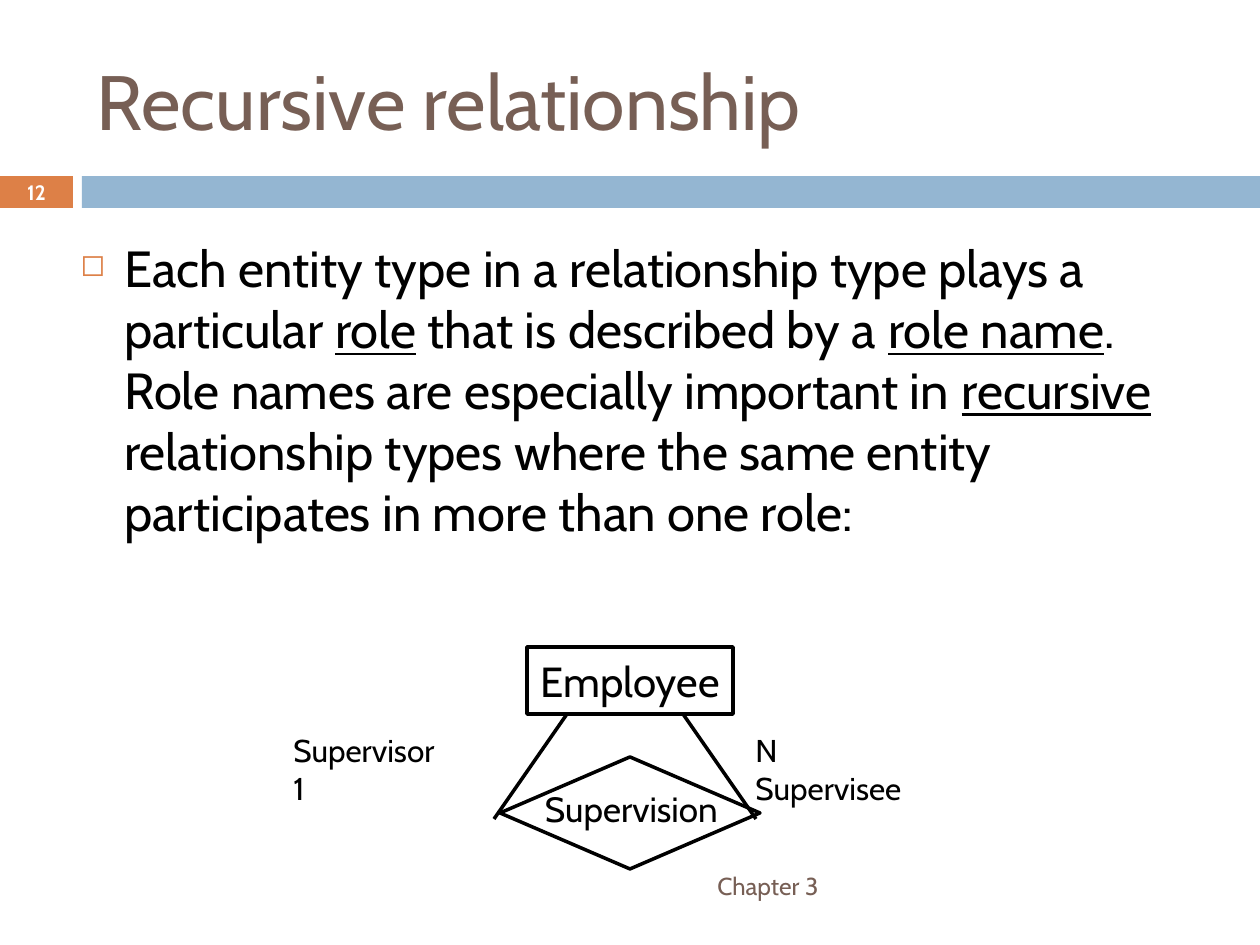
import pptx
import pptx.util
import pptx.dml.color
import pptx.enum.shapes
import pptx.enum.text
import pptx.oxml
import pptx.oxml.ns

PIXEL = 914400 / 126
FONT = "Cabin"
COLORS = {
    "band": "94B6D2",
    "accent": "DD8047",
    "heading": "775F55",
    "ink": "000000",
    "paper": "FFFFFF",
}
SHAPES = pptx.enum.shapes.MSO_SHAPE
ALIGN = pptx.enum.text.PP_ALIGN
ANCHOR = pptx.enum.text.MSO_ANCHOR


def px(value):
    return pptx.util.Emu(round(value * PIXEL))


def color(name):
    return pptx.dml.color.RGBColor.from_string(COLORS[name])


def apply(target, values):
    for key, value in values.items():
        setattr(target, key, value)


def write(holder, runs, size, ink="ink", bold=False, align=ALIGN.LEFT,
          anchor=ANCHOR.TOP, wrap=True):
    frame = holder.text_frame
    apply(frame, {"word_wrap": wrap, "vertical_anchor": anchor})
    paragraph = frame.paragraphs[0]
    paragraph.alignment = align
    for words, underlined in runs:
        run = paragraph.add_run()
        run.text = words
        apply(run.font, {"name": FONT, "size": pptx.util.Pt(size),
                         "bold": bold, "underline": underlined})
        run.font.color.rgb = color(ink)
    return paragraph


def add_text(slide, box, words, size, **style):
    label = slide.shapes.add_textbox(*map(px, box))
    return write(label, [(words, False)], size, **style)


def add_lines(slide, box, lines, size):
    first, *others = lines
    paragraph = add_text(slide, box, first, size)
    for words in others:
        paragraph.add_line_break()
        run = paragraph.add_run()
        run.text = words
        apply(run.font, {"name": FONT, "size": pptx.util.Pt(size)})
        run.font.color.rgb = color("ink")


def add_block(slide, box, fill):
    block = slide.shapes.add_shape(SHAPES.RECTANGLE, *map(px, box))
    block.shadow.inherit = False
    block.fill.solid()
    block.fill.fore_color.rgb = color(fill)
    block.line.fill.background()


def draw_line(line):
    line.width = pptx.util.Pt(2)
    line.color.rgb = color("ink")


def add_outline(slide, kind, box):
    outline = slide.shapes.add_shape(kind, *map(px, box))
    outline.shadow.inherit = False
    outline.fill.background()
    draw_line(outline.line)
    return outline


def add_link(slide, start, end):
    link = slide.shapes.add_connector(
        pptx.enum.shapes.MSO_CONNECTOR.STRAIGHT, *map(px, start + end))
    draw_line(link.line)
    properties = link._element.spPr
    properties.append(pptx.oxml.parse_xml(
        "<a:effectLst %s/>" % pptx.oxml.ns.nsdecls("a")))


def add_bullet(paragraph, indent):
    paragraph.space_before = pptx.util.Pt(7)
    properties = paragraph._p.get_or_add_pPr()
    properties.set("marL", str(px(indent)))
    properties.set("indent", str(-px(indent)))
    namespace = pptx.oxml.ns.nsdecls("a")
    for markup in (
        '<a:buClr %s><a:srgbClr val="' + COLORS["accent"] + '"/></a:buClr>',
        '<a:buSzPct %s val="60000"/>',
        '<a:buChar %s char="\u25fb"/>',
    ):
        properties.append(pptx.oxml.parse_xml(markup % namespace))


def add_explanation(slide):
    body = slide.shapes.add_textbox(*map(px, (68, 231, 1124, 567)))
    paragraph = write(body, [
        ("Each entity type in a relationship type plays a particular ", False),
        ("role", True),
        (" that is described by a ", False),
        ("role name", True),
        (". Role names are especially important in ", False),
        ("recursive", True),
        (" relationship types where the same entity participates in more "
         "than one role:", False),
    ], 29)
    add_bullet(paragraph, 44)


def add_diagram(slide):
    employee = add_outline(slide, SHAPES.RECTANGLE, (527, 647, 206, 67))
    write(employee, [("Employee", False)], 24, align=ALIGN.CENTER,
          anchor=ANCHOR.MIDDLE, wrap=False)
    add_text(slide, (530, 781, 203, 54), "Supervision", 20,
             align=ALIGN.CENTER, wrap=False)
    add_outline(slide, SHAPES.DIAMOND, (500, 757, 260, 112))
    for foot, top in ((494, 567), (756, 683)):
        add_link(slide, (foot, 819), (top, 714))
    for left, width, lines in ((281, 226, ("Supervisor", "1")),
                               (743, 244, ("N", "Supervisee"))):
        add_lines(slide, (left, 725, width, 47), lines, 18)


def main():
    deck = pptx.Presentation()
    apply(deck, {"slide_width": px(1260), "slide_height": px(945)})
    slide = deck.slides.add_slide(deck.slide_layouts[6])
    add_block(slide, (0, 176, 73, 32), "accent")
    add_block(slide, (82, 176, 1178, 32), "band")
    add_text(slide, (84, 861, 747, 50), "Chapter 3", 14, ink="heading",
             align=ALIGN.RIGHT, anchor=ANCHOR.MIDDLE)
    add_text(slide, (0, 175, 73, 34), "12", 11.9, ink="paper", bold=True,
             align=ALIGN.CENTER, anchor=ANCHOR.MIDDLE)
    add_text(slide, (84, 32, 1124, 136), "Recursive relationship", 44,
             ink="heading", anchor=ANCHOR.MIDDLE)
    add_explanation(slide)
    add_diagram(slide)
    deck.save("out.pptx")


main()
